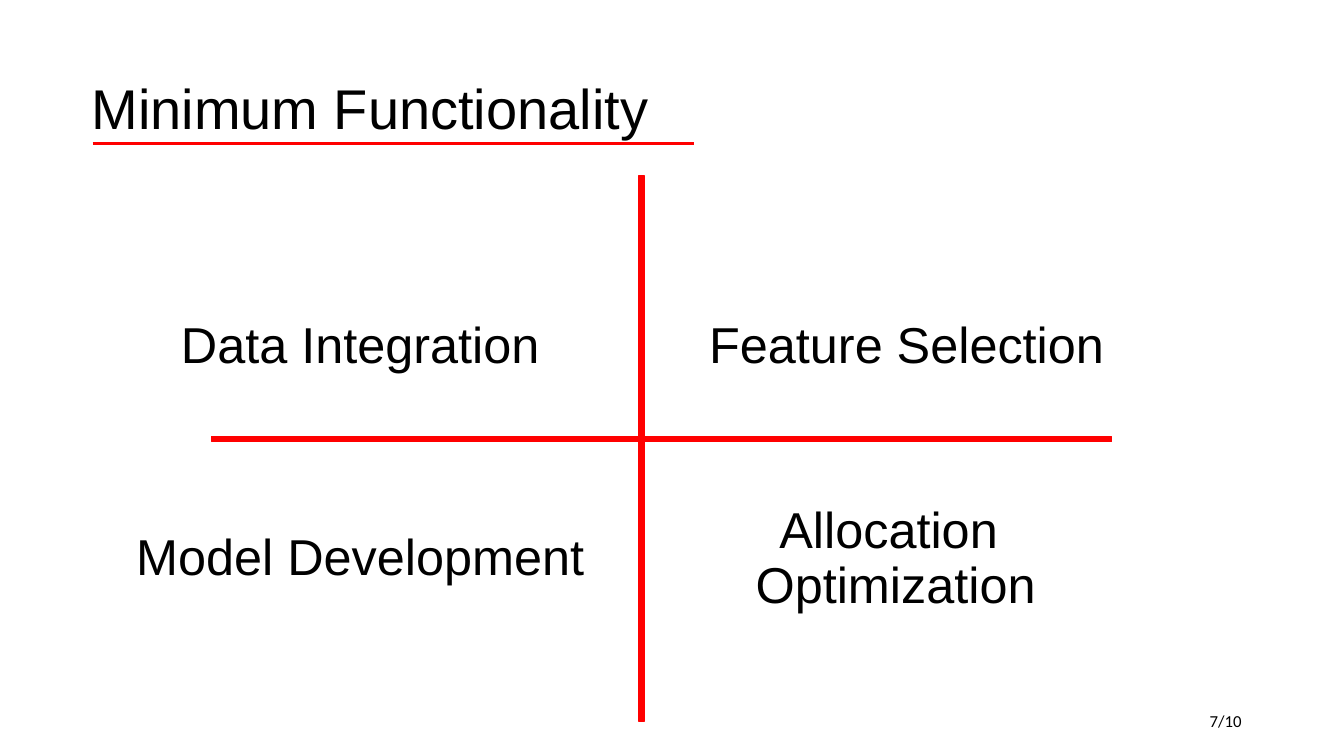
import pptx
import pptx.dml.color
import pptx.enum.shapes
import pptx.enum.text
import pptx.oxml.ns
import pptx.util
from lxml import etree

Pt = pptx.util.Pt
Align = pptx.enum.text.PP_ALIGN
COLORS = {
    name: pptx.dml.color.RGBColor.from_string(value)
    for name, value in {"accent": "FF0000", "text": "000000"}.items()
}

presentation = pptx.Presentation()
presentation.slide_width = Pt(960)
presentation.slide_height = Pt(540)
slide = presentation.slides.add_slide(presentation.slide_layouts[6])


def add_text(lines, box, alignment, spacing, font):
    shape = slide.shapes.add_textbox(*map(Pt, box))
    frame = shape.text_frame
    frame.word_wrap = True
    frame.vertical_anchor = pptx.enum.text.MSO_ANCHOR.MIDDLE
    frame.text = "\n".join(lines)
    for paragraph in frame.paragraphs:
        paragraph.alignment = alignment
        paragraph.line_spacing = spacing
        for attribute, value in font.items():
            setattr(paragraph.font, attribute, value)
        paragraph.font.color.rgb = COLORS["text"]


underline = slide.shapes.add_connector(
    pptx.enum.shapes.MSO_CONNECTOR.STRAIGHT, Pt(66.2), Pt(102.5), Pt(495.4), Pt(102.5)
)
underline.line.color.rgb = COLORS["accent"]
underline.line.width = Pt(2.25)
etree.SubElement(underline._element.spPr, pptx.oxml.ns.qn("a:effectLst"))

add_text(["Minimum Functionality"], (58.3, 27.4, 828, 104.4), Align.LEFT, 0.9,
         {"name": "Arial", "size": Pt(40)})
add_text(["7/10"], (678, 500.4, 216, 28.8), Align.RIGHT, 1.0,
         {"name": "Calibri", "size": Pt(12)})

axes = [(456.5, 125.3, 3.6, 390.2), (151.2, 311.8, 643, 3.6)]
for axis in axes:
    bar = slide.shapes.add_shape(pptx.enum.shapes.MSO_SHAPE.RECTANGLE, *map(Pt, axis))
    bar.shadow.inherit = False
    bar.fill.solid()
    bar.fill.fore_color.rgb = COLORS["accent"]
    bar.line.color.rgb = COLORS["accent"]
    bar.line.width = Pt(1)

quadrants = [
    (["Data Integration"], 66.2, 195.8),
    (["Feature Selection"], 456.5, 195.8),
    (["Model Development"], 66.2, 347.5),
    (["Allocation ", "Optimization"], 448.6, 347.5),
]
for lines, left, top in quadrants:
    add_text(lines, (left, top, 382.3, 104.4), Align.CENTER, 0.9,
             {"name": "Arial", "size": Pt(36)})

presentation.save("out.pptx")
